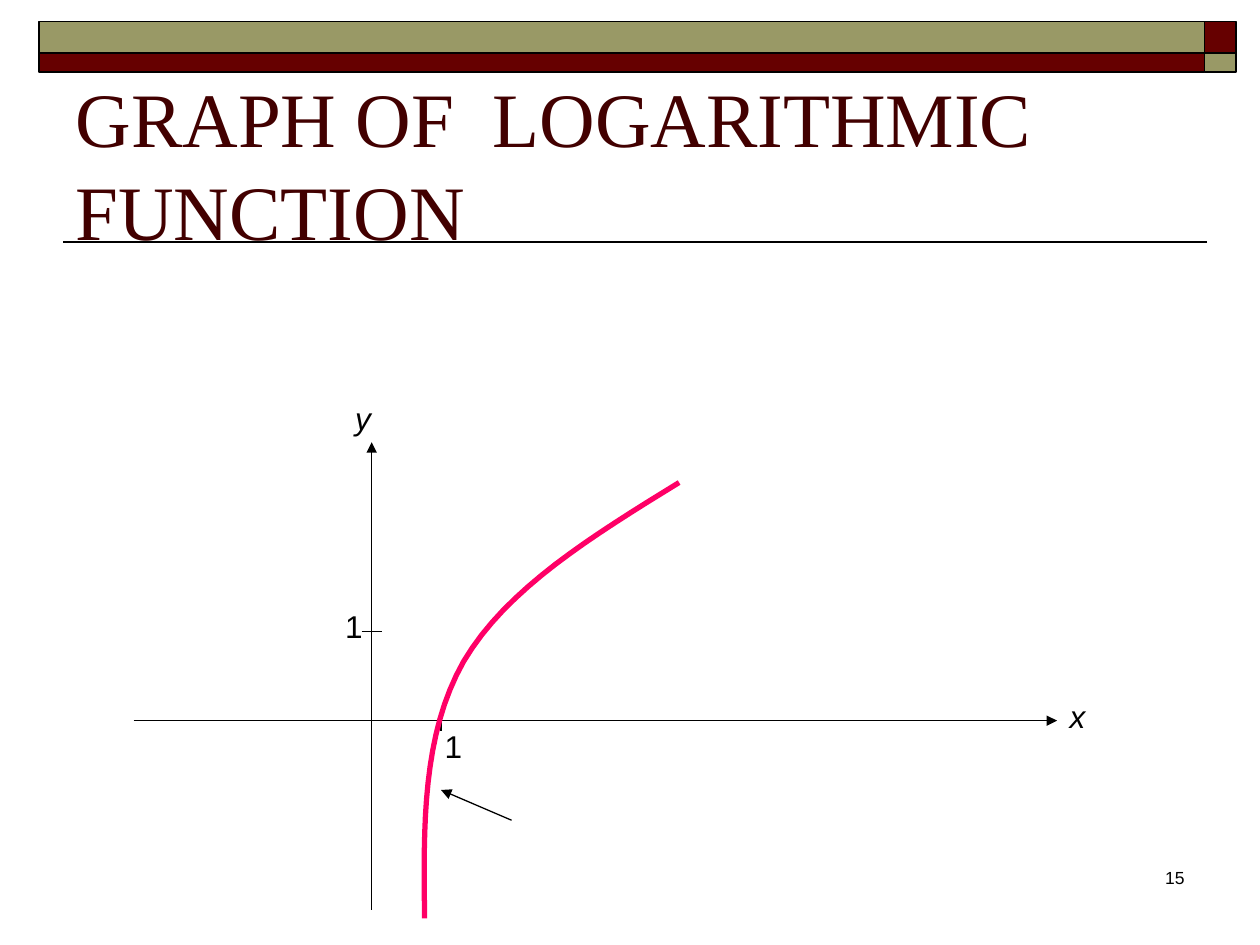
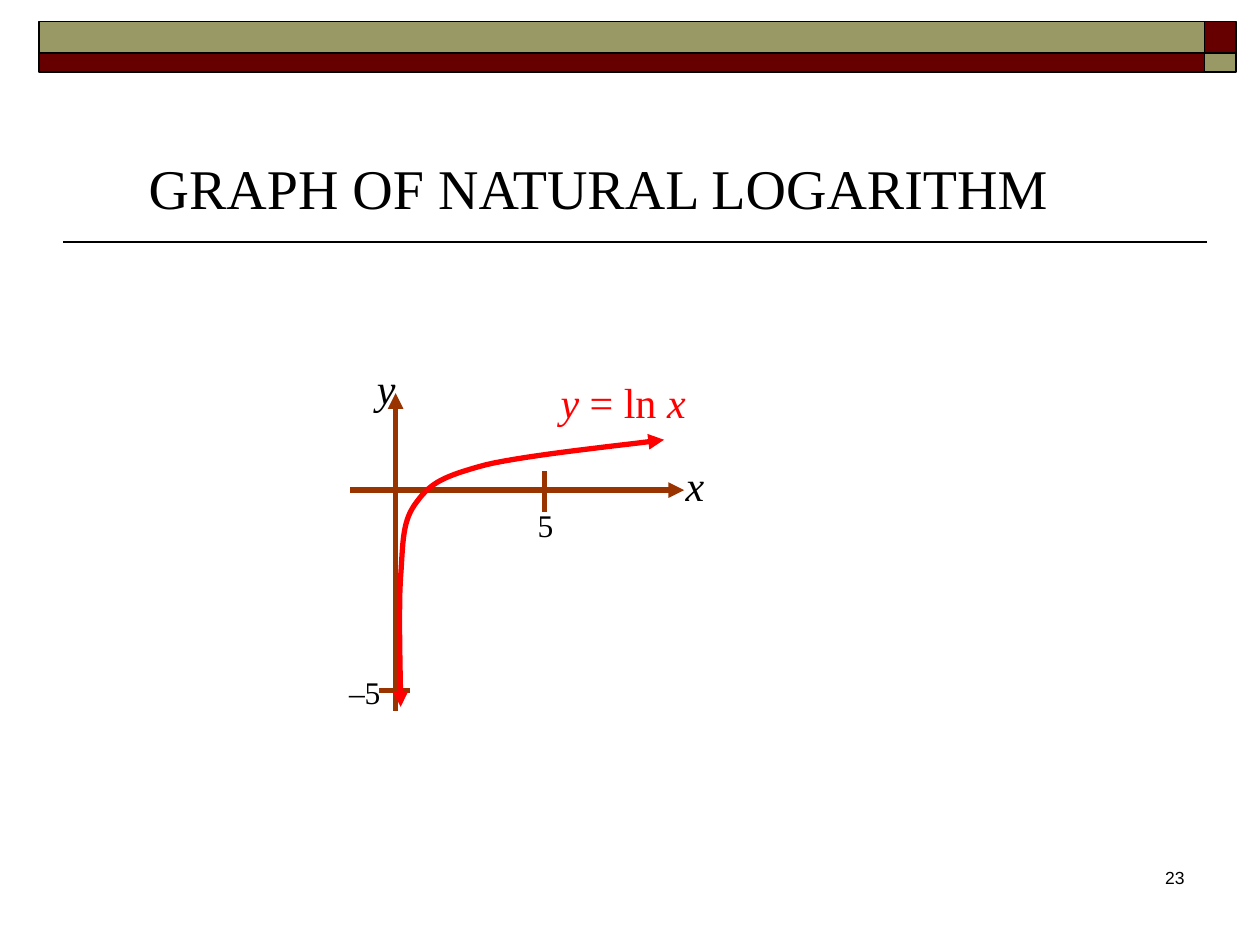
from lxml import etree
from pptx import Presentation
from pptx.dml.color import RGBColor
from pptx.enum.shapes import MSO_CONNECTOR, MSO_SHAPE
from pptx.enum.text import MSO_ANCHOR, MSO_AUTO_SIZE, PP_ALIGN
from pptx.oxml.ns import qn
from pptx.util import Inches, Pt

STRAIGHT = MSO_CONNECTOR.STRAIGHT
RECTANGLE = MSO_SHAPE.RECTANGLE
LEFT, CENTER, RIGHT = PP_ALIGN.LEFT, PP_ALIGN.CENTER, PP_ALIGN.RIGHT

BLACK, MAROON, OLIVE = "000000", "660000", "999966"
DARK_MAROON, BROWN, PINK, RED = "420000", "993300", "FF0066", "FF0000"
SANS, SERIF = "Arial", "Times New Roman"
TITLE_ONLY = 5
CURVE_STEPS = 16

presentation = Presentation()
presentation.slide_width, presentation.slide_height = Inches(10), Inches(7.5)
COLUMN = presentation.slide_width / 10
ROW = presentation.slide_height / 7.5


def style_line(shape, colour, width, arrows=""):
    """Format a line without shadow; arrows names its ends, e.g. "headEnd tailEnd"."""
    shape.line.color.rgb = RGBColor.from_string(colour)
    shape.line.width = Pt(width)
    properties = shape._element.spPr
    outline = properties.find(qn("a:ln"))
    for end in arrows.split():
        etree.SubElement(outline, qn("a:" + end), type="triangle")
    etree.SubElement(properties, qn("a:effectLst"))


def write_text(shape, box, runs, font_name, size, colour, align=LEFT, wrap=True):
    """Place a shape on the grid and fill it with (text, italic) runs."""
    left, top, width, height = box
    shape.left, shape.width = int(left * COLUMN), int(width * COLUMN)
    shape.top, shape.height = int(top * ROW), int(height * ROW)
    frame = shape.text_frame
    frame.word_wrap = wrap
    frame.auto_size = MSO_AUTO_SIZE.NONE
    paragraph = frame.paragraphs[0]
    paragraph.alignment = align
    for text, italic in runs:
        run = paragraph.add_run()
        run.text = text
        run.font.name, run.font.size = font_name, Pt(size)
        run.font.italic = italic
        run.font.color.rgb = RGBColor.from_string(colour)


# Bands: left, top, width, height, fill
BANDS = [
    (left, top, width, height, fill)
    for top, height, fills in ((0.17, 0.25, (OLIVE, MAROON)), (0.42, 0.15, (MAROON, OLIVE)))
    for left, width, fill in zip((0.31, 9.56), (9.25, 0.25), fills)
]

LOG_X, LOG_Y = 2.95, 5.72
LN_X, LN_Y = 3.14, 3.89

# Lines: x1, y1, x2, y2, arrowheads. Labels: box, runs, size, colour.
# A curve is a start point followed by triples of Bézier points.
GRAPHS = [
    {
        "title": "GRAPH OF  LOGARITHMIC FUNCTION",
        "title_style": ((0.5, 0.83, 8.08, 1.25), 44, DARK_MAROON),
        "number": "15",
        "line_style": (BLACK, 0.75),
        "lines": [
            (LOG_X, 7.22, LOG_X, 3.51, "tailEnd"),
            (1.06, LOG_Y, 8.39, LOG_Y, "tailEnd"),
            (3.5, LOG_Y - 0.08, 3.5, LOG_Y + 0.08, ""),
            (LOG_X - 0.08, 5.01, LOG_X + 0.08, 5.01, ""),
            (4.06, 6.51, 3.5, 6.27, "tailEnd"),
        ],
        "curve": [(3.37, 7.29),
                  (3.36, 6.56), (3.35, 5.83), (3.68, 5.25),
                  (4.02, 4.67), (4.71, 4.25), (5.39, 3.83)],
        "curve_style": (PINK, 3, ""),
        "label_font": SANS,
        "label_layout": (LEFT, True),
        "labels": [
            ((2.72, 3.12, 0.47, 0.4), [("y", True)], 18, BLACK),
            ((8.39, 5.48, 0.47, 0.4), [("x", True)], 18, BLACK),
            ((3.43, 5.72, 0.31, 0.4), [("1", False)], 18, BLACK),
            ((2.64, 4.77, 0.31, 0.4), [("1", False)], 18, BLACK),
        ],
    },
    {
        "title": "GRAPH OF NATURAL LOGARITHM",
        "title_style": ((1.08, 1.16, 8.25, 0.64), 32, BLACK),
        "number": "23",
        "line_style": (BROWN, 3),
        "lines": [
            (2.78, LN_Y, 5.43, LN_Y, "tailEnd"),
            (LN_X, 5.64, LN_X, 3.12, "tailEnd"),
            (4.32, 3.74, 4.32, 4.06, ""),
            (3.01, 5.48, 3.25, 5.48, ""),
        ],
        "curve": [(3.18, 5.61),
                  (3.18, 5.44), (3.16, 4.84), (3.18, 4.57),
                  (3.2, 4.3), (3.19, 4.13), (3.31, 3.98),
                  (3.42, 3.83), (3.52, 3.78), (3.85, 3.69),
                  (4.18, 3.61), (4.98, 3.53), (5.27, 3.49)],
        "curve_style": (RED, 3, "headEnd tailEnd"),
        "label_font": SERIF,
        "label_layout": (CENTER, False),
        "labels": [
            ((4.35, 2.94, 1.19, 0.5), [("y", True), (" = ln ", False), ("x", True)], 24, RED),
            ((2.89, 2.83, 0.35, 0.5), [("y", True)], 24, BLACK),
            ((5.34, 3.6, 0.35, 0.5), [("x", True)], 24, BLACK),
            ((4.17, 3.97, 0.32, 0.4), [("5", False)], 18, BLACK),
            ((2.67, 5.29, 0.45, 0.4), [("–5", False)], 18, BLACK),
        ],
    },
]

for graph in GRAPHS:
    slide = presentation.slides.add_slide(presentation.slide_layouts[TITLE_ONLY])
    shapes = slide.shapes

    for left, top, width, height, fill in BANDS:
        band = shapes.add_shape(RECTANGLE, int(left * COLUMN), int(top * ROW),
                                int(width * COLUMN), int(height * ROW))
        band.fill.solid()
        band.fill.fore_color.rgb = RGBColor.from_string(fill)
        style_line(band, BLACK, 1)

    title_box, title_size, title_colour = graph["title_style"]
    write_text(shapes.title, title_box, [(graph["title"], False)], SERIF, title_size, title_colour)
    shapes.title.text_frame.vertical_anchor = MSO_ANCHOR.BOTTOM
    number = shapes.add_textbox(0, 0, 0, 0)
    write_text(number, (7.42, 6.83, 2.08, 0.5), [(graph["number"], False)], SANS, 10, BLACK, RIGHT)

    title_rule = (9.58, 1.92, 0.5, 1.92, "")
    line_styles = [(BLACK, 1)] + [graph["line_style"]] * len(graph["lines"])
    for (x1, y1, x2, y2, arrows), style in zip([title_rule] + graph["lines"], line_styles):
        line = shapes.add_connector(STRAIGHT, int(x1 * COLUMN), int(y1 * ROW),
                                    int(x2 * COLUMN), int(y2 * ROW))
        style_line(line, *style, arrows)

    knots = graph["curve"]
    points = []
    for first in range(0, len(knots) - 1, 3):
        for step in range(1, CURVE_STEPS + 1):
            t = step / CURVE_STEPS
            weights = ((1 - t) ** 3, 3 * t * (1 - t) ** 2, 3 * t ** 2 * (1 - t), t ** 3)
            x, y = (sum(weight * knot[axis] for weight, knot in zip(weights, knots[first:first + 4]))
                    for axis in (0, 1))
            points.append((int(x * COLUMN), int(y * ROW)))
    start_x, start_y = knots[0]
    builder = shapes.build_freeform(int(start_x * COLUMN), int(start_y * ROW))
    builder.add_line_segments(points, close=False)
    curve = builder.convert_to_shape()
    curve.fill.background()
    style_line(curve, *graph["curve_style"])

    for box, runs, size, colour in graph["labels"]:
        write_text(shapes.add_textbox(0, 0, 0, 0), box, runs, graph["label_font"],
                   size, colour, *graph["label_layout"])

presentation.save("out.pptx")
